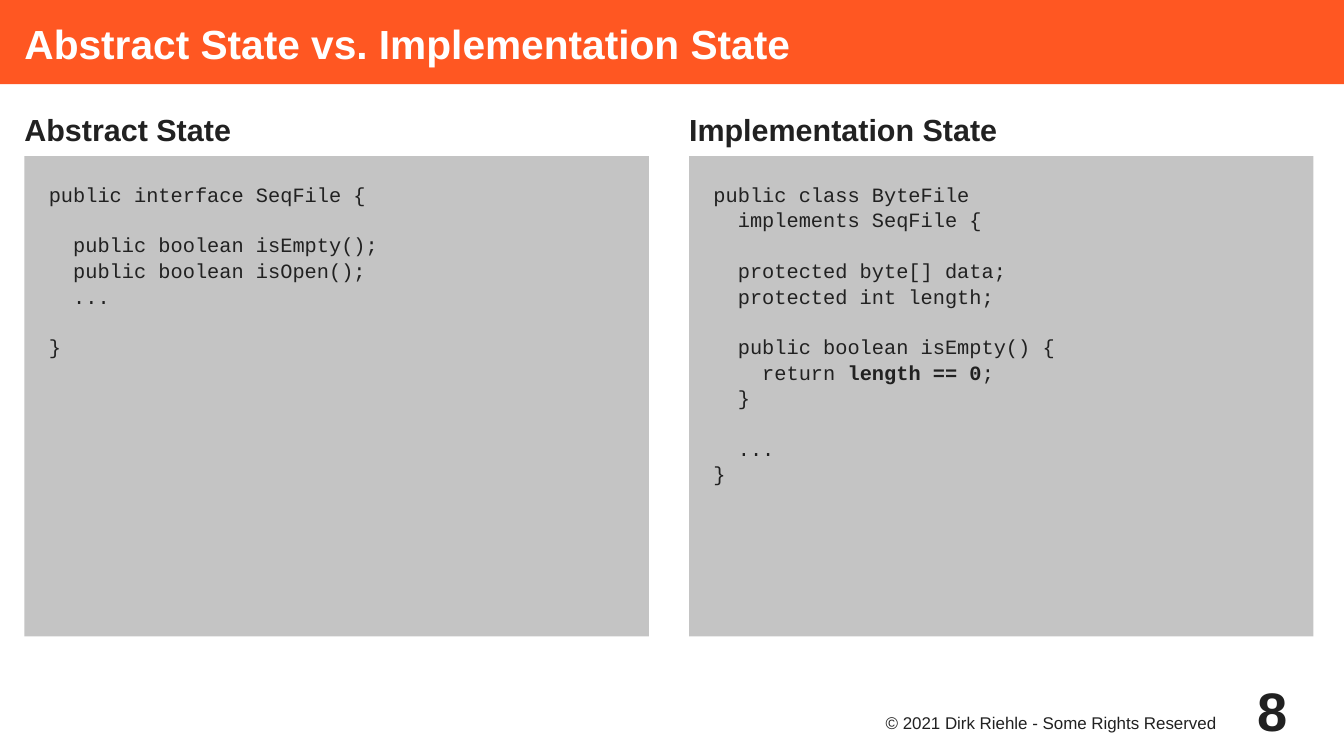
from dataclasses import dataclass

from pptx import Presentation
from pptx.dml.color import RGBColor
from pptx.enum.shapes import MSO_SHAPE
from pptx.enum.text import MSO_ANCHOR, PP_ALIGN
from pptx.util import Inches, Pt


@dataclass(frozen=True)
class Theme:
    orange: RGBColor = RGBColor(0xFF, 0x57, 0x22)
    gray: RGBColor = RGBColor(0xC4, 0xC4, 0xC4)
    ink: RGBColor = RGBColor(0x21, 0x21, 0x21)
    white: RGBColor = RGBColor(0xFF, 0xFF, 0xFF)
    sans: str = "Arial"
    mono: str = "Courier New"
    title: int = 24
    heading: int = 18
    code: int = 12
    footer: int = 10
    number: int = 32
    line_spacing: float = 1.06
    code_gap: float = 14.4


theme = Theme()
presentation = Presentation()
presentation.slide_width = Inches(11.02)
presentation.slide_height = Inches(6.2)
slide = presentation.slides.add_slide(presentation.slide_layouts[6])


def add_box(left, top, width, height, fill=None, inset=(0, 0), anchor=MSO_ANCHOR.TOP):
    """Add a filled rectangle or a plain text box and return its text frame."""
    area = [Inches(length) for length in (left, top, width, height)]
    if fill is None:
        shape = slide.shapes.add_textbox(*area)
    else:
        shape = slide.shapes.add_shape(MSO_SHAPE.RECTANGLE, *area)
        shape.shadow.inherit = False
        shape.fill.solid()
        shape.fill.fore_color.rgb = fill
        shape.line.fill.background()
    frame = shape.text_frame
    frame.word_wrap = True
    frame.vertical_anchor = anchor
    frame.margin_left, frame.margin_top = Inches(inset[0]), Inches(inset[1])
    frame.margin_right = frame.margin_bottom = 0
    return frame


def write(paragraph, runs, size, font=theme.sans, color=theme.ink, align=PP_ALIGN.LEFT):
    """Fill a paragraph with (text, bold) runs."""
    paragraph.alignment = align
    paragraph.line_spacing = theme.line_spacing
    for text, bold in runs:
        run = paragraph.add_run()
        run.text = text
        run.font.name = font
        run.font.size = Pt(size)
        run.font.bold = bold
        run.font.color.rgb = color


# Title bar
frame = add_box(0, 0, 11.02, 0.69, theme.orange, (0.2, 0), MSO_ANCHOR.MIDDLE)
write(frame.paragraphs[0], [("Abstract State vs. Implementation State", True)],
      theme.title, color=theme.white)

# Code columns: each block of lines is set off by one line of space
columns = [
    ("Abstract State", [
        [[("public interface SeqFile {", False)]],
        [[("  public boolean isEmpty();", False)],
         [("  public boolean isOpen();", False)],
         [("  ...", False)]],
        [[("}", False)]],
    ]),
    ("Implementation State", [
        [[("public class ByteFile", False)],
         [("  implements SeqFile {", False)]],
        [[("  protected byte[] data;", False)],
         [("  protected int length;", False)]],
        [[("  public boolean isEmpty() {", False)],
         [("    return ", False), ("length == 0", True), (";", False)],
         [("  }", False)]],
        [[("  ...", False)],
         [("}", False)]],
    ]),
]
for column, (heading, blocks) in enumerate(columns):
    left = 0.2 + column * 5.45
    frame = add_box(left, 0.89, 5.12, 0.35)
    write(frame.paragraphs[0], [(heading, True)], theme.heading)

    frame = add_box(left, 1.28, 5.12, 3.94, theme.gray, (0.2, 0.2))
    paragraph = frame.paragraphs[0]
    for block_index, block in enumerate(blocks):
        for line_index, runs in enumerate(block):
            if block_index or line_index:
                paragraph = frame.add_paragraph()
            if block_index and line_index == 0:
                paragraph.space_before = Pt(theme.code_gap)
            write(paragraph, runs, theme.code, theme.mono)

# Footer
frame = add_box(6.82, 5.83, 3.15, 0.28)
write(frame.paragraphs[0], [("© 2021 Dirk Riehle - Some Rights Reserved", False)],
      theme.footer, align=PP_ALIGN.RIGHT)
frame = add_box(9.77, 5.51, 0.79, 0.59, anchor=MSO_ANCHOR.MIDDLE)
write(frame.paragraphs[0], [("8", True)], theme.number, align=PP_ALIGN.RIGHT)

presentation.save("out.pptx")
